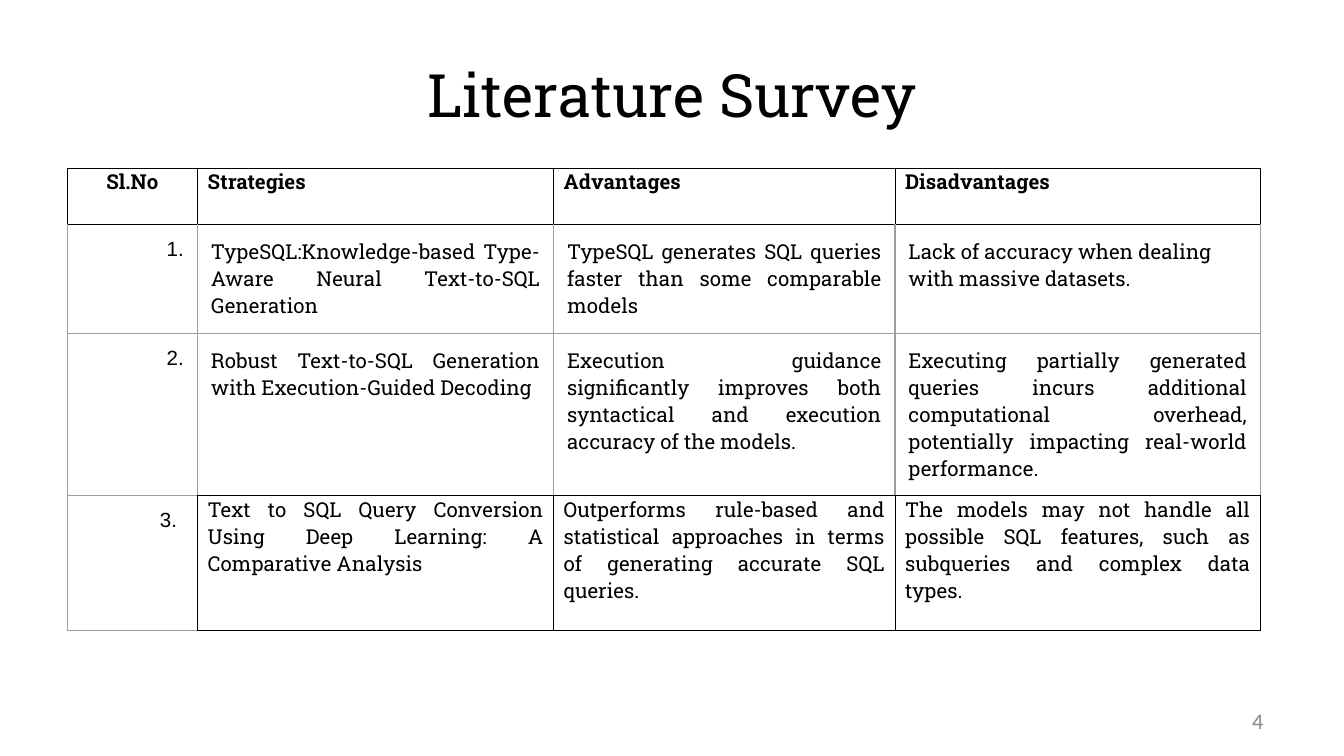
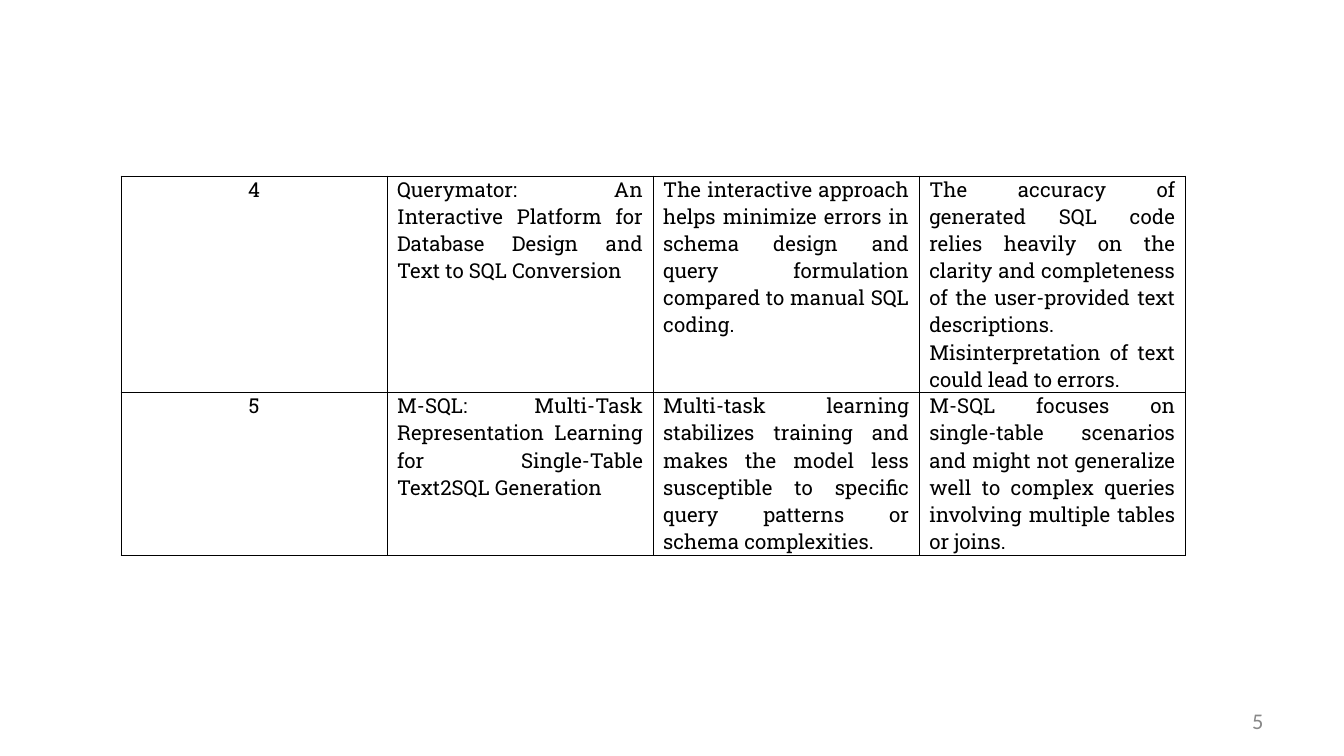
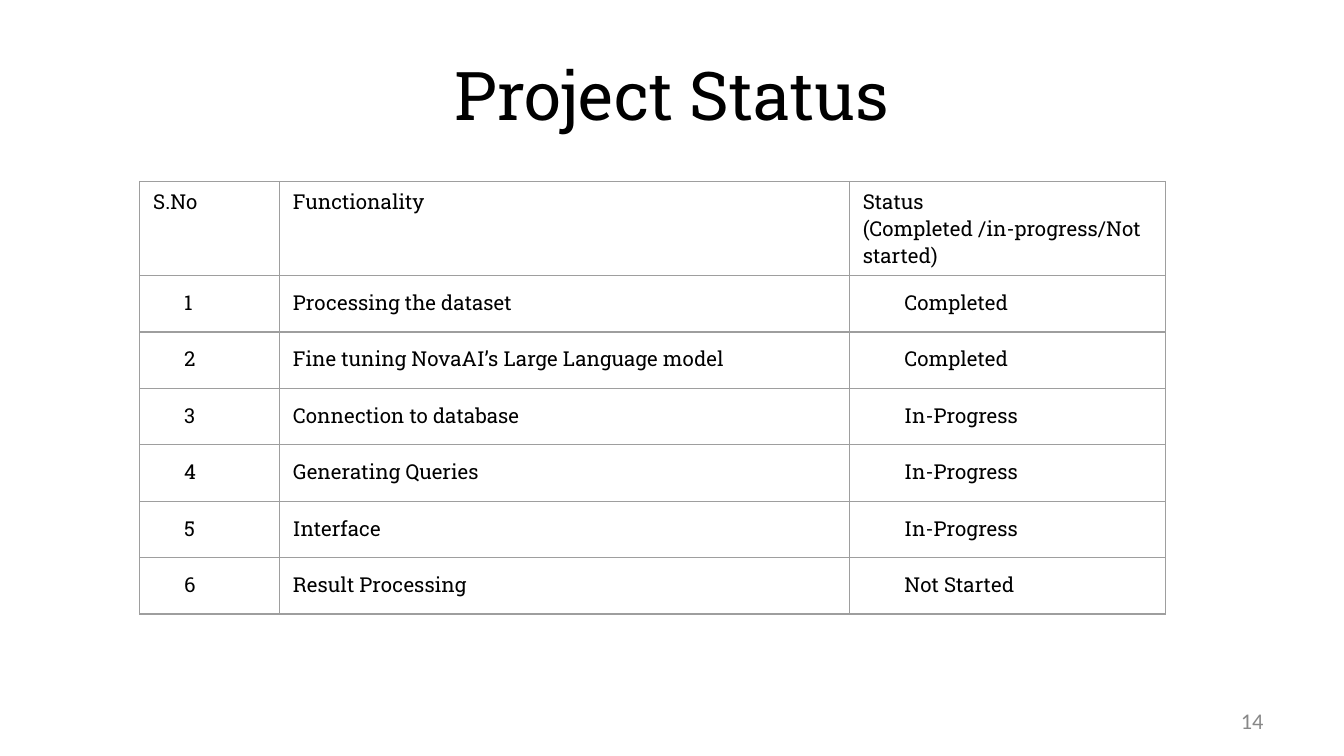
"""Build three slides: a literature survey in two tables and a project status table."""
from lxml.etree import SubElement
from pptx import Presentation
from pptx.dml.color import RGBColor
from pptx.enum.text import MSO_ANCHOR, PP_ALIGN
from pptx.oxml.ns import qn
from pptx.util import Inches, Pt

BLACK, GREY, NUMBER_GREY = "000000", "9E9E9E", "888888"
SLAB = "Roboto Slab"
LEFT, CENTER, RIGHT, JUSTIFY = PP_ALIGN.LEFT, PP_ALIGN.CENTER, PP_ALIGN.RIGHT, PP_ALIGN.JUSTIFY
LINES = {"k": (BLACK, 0.5), "g": (GREY, 0.75)}
TIGHT = (Pt(5.4), 0)
ROOMY = (Inches(0.1), Inches(0.1))
HEADER = (Inches(0.1), Inches(0.05))


def write(tf, text, align=LEFT, size=11, font=SLAB, color=BLACK, bold=False, indent=0):
    tf.word_wrap = True
    for i, line in enumerate(text.split("\n")):
        p = tf.add_paragraph() if i else tf.paragraphs[0]
        p.alignment = align
        if indent:
            p._p.get_or_add_pPr().set("marL", str(Inches(indent)))
        r = p.add_run()
        r.text = line
        r.font.size, r.font.name, r.font.bold = Pt(size), font, bold
        r.font.color.rgb = RGBColor.from_string(color)


def style_cell(cell, inset, edges):
    cell.margin_left = cell.margin_right = inset[0]
    cell.margin_top = cell.margin_bottom = inset[1]
    tcPr = cell._tc.get_or_add_tcPr()
    for side, edge in zip("LRTB", edges):
        color, width = LINES[edge]
        ln = SubElement(tcPr, qn(f"a:ln{side}"), w=str(Pt(width)))
        SubElement(SubElement(ln, qn("a:solidFill")), qn("a:srgbClr"), val=color)
    cell.fill.background()


prs = Presentation()
prs.slide_width, prs.slide_height = Inches(10), Inches(10) * 9 // 16

layouts = [
    ("Literature Survey", 32, "4", 0.5, 1.25, [0.97, 2.65, 2.54, 2.72], [0.42, 0.81, 1.21, 1]),
    (None, None, "5", 0.9, 1.31, [1.98] * 4, [1.61, 1.21]),
    ("Project Status", 36, "14", 1.04, 1.35, [1.04, 4.24, 2.35], [0.7] + [0.42] * 6),
]
tables = []
for title, title_size, number, left, top, widths, heights in layouts:
    s = prs.slides.add_slide(prs.slide_layouts[6])
    if title:
        tf = s.shapes.add_textbox(Inches(0.5), Inches(0.23), Inches(9), Inches(0.94)).text_frame
        tf.vertical_anchor = MSO_ANCHOR.MIDDLE
        write(tf, title, CENTER, title_size)
    tf = s.shapes.add_textbox(Inches(7.17), Inches(5.21), Inches(2.33), Inches(0.3)).text_frame
    tf.vertical_anchor = MSO_ANCHOR.MIDDLE
    write(tf, number, RIGHT, 12, "Calibri", NUMBER_GREY)
    table = s.shapes.add_table(len(heights), len(widths), Inches(left), Inches(top),
                               Inches(sum(widths)), Inches(sum(heights))).table
    table.first_row = table.horz_banding = False
    for column, width in zip(table.columns, widths):
        column.width = Inches(width)
    for row, height in zip(table.rows, heights):
        row.height = Inches(height)
    tables.append(table)
survey, survey_more, status = tables

strategies = [
    ("1.", "TypeSQL:Knowledge-based Type-Aware Neural Text-to-SQL Generation",
     "TypeSQL generates SQL queries faster than some comparable models",
     "Lack of accuracy when dealing with massive datasets."),
    ("2.", "Robust Text-to-SQL Generation with Execution-Guided Decoding",
     "Execution guidance significantly improves both syntactical and execution accuracy of the models.",
     "Executing partially generated queries incurs additional computational overhead, "
     "potentially impacting real-world performance."),
    ("3.", "Text to SQL Query Conversion Using Deep Learning: A Comparative Analysis",
     "Outperforms rule-based and statistical approaches in terms of generating accurate SQL queries.",
     "The models may not handle all possible SQL features, such as subqueries and complex data types."),
]
for col, heading in enumerate(["Sl.No", "Strategies", "Advantages", "Disadvantages"]):
    cell = survey.cell(0, col)
    style_cell(cell, TIGHT, "kkkk")
    write(cell.text_frame, heading, LEFT if col else CENTER, bold=True)

number_edges, text_edges = ["ggkg", "gggg", "gkgg"], ["ggkg", "gggk", "kkkk"]
text_insets, number_indents = [ROOMY, ROOMY, TIGHT], [0.64, 0.64, 0.59]
for i, (number, *texts) in enumerate(strategies):
    cell = survey.cell(i + 1, 0)
    style_cell(cell, ROOMY, number_edges[i])
    write(cell.text_frame, number, font="Arial", indent=number_indents[i])
    for col, text in enumerate(texts, 1):
        cell = survey.cell(i + 1, col)
        style_cell(cell, text_insets[i], text_edges[i])
        write(cell.text_frame, text, LEFT if (i, col) == (0, 3) else JUSTIFY)

more_strategies = [
    ("4", "Querymator: An Interactive Platform for Database Design and Text to SQL Conversion",
     "The interactive approach helps minimize errors in schema design and query formulation "
     "compared to manual SQL coding.",
     "The accuracy of generated SQL code relies heavily on the clarity and completeness of the "
     "user-provided text descriptions. Misinterpretation of text could lead to errors."),
    ("5", "M-SQL: Multi-Task Representation Learning for Single-Table Text2SQL Generation",
     "Multi-task learning stabilizes training and makes the model less susceptible to specific "
     "query patterns or schema complexities.",
     "M-SQL focuses on single-table scenarios and might not generalize well to complex queries "
     "involving multiple tables or joins."),
]
for row, texts in enumerate(more_strategies):
    for col, text in enumerate(texts):
        cell = survey_more.cell(row, col)
        style_cell(cell, TIGHT, "kkkk")
        write(cell.text_frame, text, JUSTIFY if col else CENTER)

functions = [
    ("S.No", "Functionality", "Status\n(Completed /in-progress/Not started)"),
    ("1", "Processing the dataset", "Completed"),
    ("2", "Fine tuning NovaAI’s Large Language model", "Completed"),
    ("3", "Connection to database", "In-Progress"),
    ("4", "Generating Queries", "In-Progress"),
    ("5", "Interface", "In-Progress"),
    ("6", "Result Processing", "Not Started"),
]
indents = [0.23, 0, 0.31]
for row, texts in enumerate(functions):
    for col, text in enumerate(texts):
        cell = status.cell(row, col)
        style_cell(cell, ROOMY if row else HEADER, "gggg")
        write(cell.text_frame, text, indent=indents[col] if row else 0)

prs.save("out.pptx")
